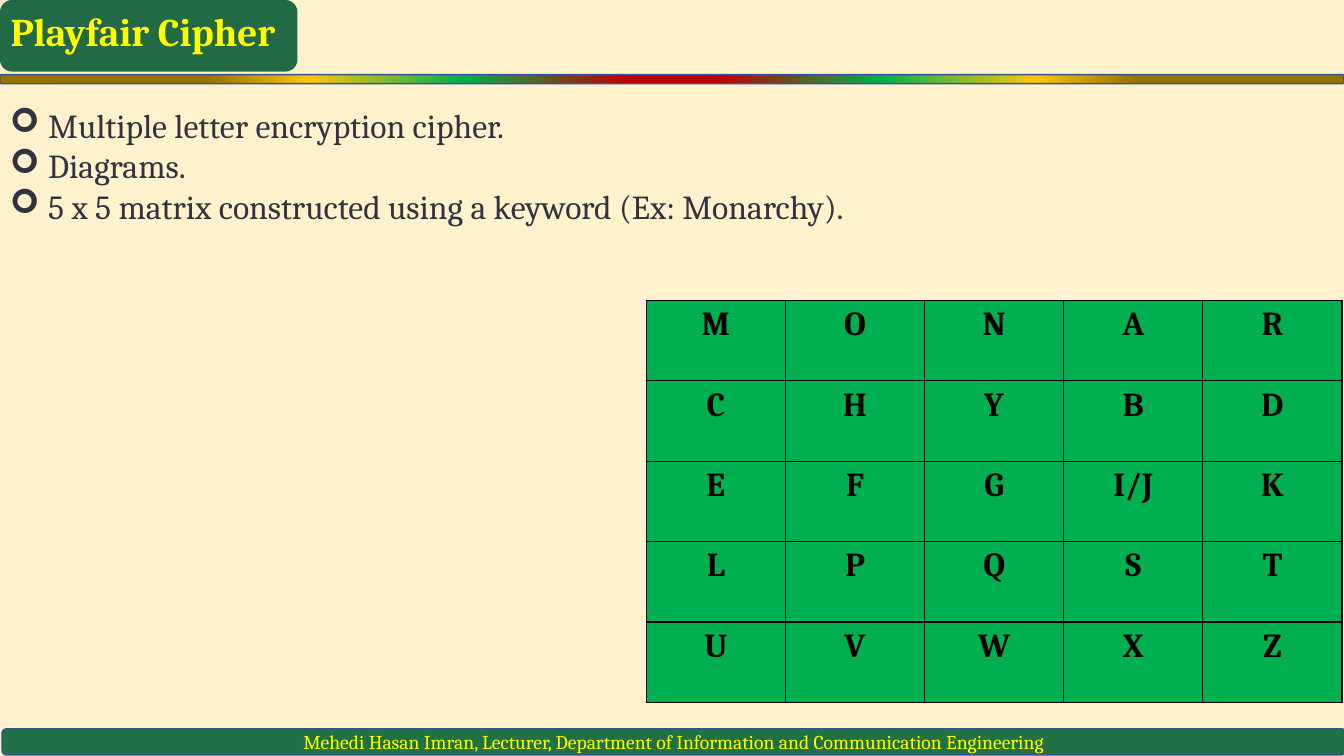
from lxml import etree
from pptx import Presentation
from pptx.dml.color import RGBColor
from pptx.enum import shapes, text
from pptx.oxml.ns import qn
from pptx.util import Inches, Pt

TITLE = "Playfair Cipher"
POINTS = [
    "Multiple letter encryption cipher.",
    "Diagrams.",
    "5 x 5 matrix constructed using a keyword (Ex: Monarchy).",
]
MATRIX = [
    ["M", "O", "N", "A", "R"],
    ["C", "H", "Y", "B", "D"],
    ["E", "F", "G", "I/J", "K"],
    ["L", "P", "Q", "S", "T"],
    ["U", "V", "W", "X", "Z"],
]
FOOTER = "Mehedi Hasan Imran, Lecturer, Department of Information and Communication Engineering"
COLORS = {
    "background": "FFF2CC", "title": "226A45", "footer": "207246",
    "outline": "325491", "yellow": "FFFF00", "body": "33333F",
    "cell": "00B050", "black": "000000",
}
RULE_BANDS = [(7, "C00000"), (31, "00B050"), (54, "FFC30D"), (69, "997300")]
FONT = "Cambria"
WIDTH, HEIGHT = 13.33, 7.5


def rgb(name):
    return RGBColor.from_string(COLORS[name])


def add_run(paragraph, words, size, color, bold=False):
    run = paragraph.add_run()
    run.text = words
    run.font.name = FONT
    run.font.size = Pt(size)
    run.font.bold = bold
    run.font.color.rgb = rgb(color)


def add_bar(slide, box, fill=None, outline=None):
    bar = slide.shapes.add_shape(
        shapes.MSO_SHAPE.ROUNDED_RECTANGLE, *map(Inches, box))
    bar.shadow.inherit = False
    if fill:
        bar.fill.solid()
        bar.fill.fore_color.rgb = rgb(fill)
    if outline:
        bar.line.color.rgb = rgb(outline)
        bar.line.width = Pt(1)
    else:
        bar.line.fill.background()
    return bar


def add_mirrored_gradient(bar, bands):
    bar.fill.gradient()
    bar.fill.gradient_angle = 0
    stops = next(bar._element.spPr.iter(qn("a:gsLst")))
    for stop in list(stops):
        stops.remove(stop)
    left = [(50 - reach / 2, color) for reach, color in reversed(bands)]
    right = [(50 + reach / 2, color) for reach, color in bands]
    for position, color in left + right:
        stop = etree.SubElement(stops, qn("a:gs"), pos=str(int(position * 1000)))
        etree.SubElement(stop, qn("a:srgbClr"), val=color)


def add_bullet(paragraph, indent):
    properties = paragraph._p.get_or_add_pPr()
    properties.set("marL", str(Inches(indent)))
    properties.set("indent", str(-Inches(indent)))
    etree.SubElement(properties, qn("a:buFont"), typeface="Wingdings")
    etree.SubElement(properties, qn("a:buChar"), char="➢")


def add_borders(cell):
    properties = cell._tc.get_or_add_tcPr()
    for index, side in enumerate(("lnL", "lnR", "lnT", "lnB")):
        border = etree.Element(qn("a:" + side), w=str(Pt(1)))
        fill = etree.SubElement(border, qn("a:solidFill"))
        etree.SubElement(fill, qn("a:srgbClr"), val=COLORS["black"])
        properties.insert(index, border)


def add_matrix(slide, left, top, width, height):
    rows, columns = len(MATRIX), len(MATRIX[0])
    matrix = slide.shapes.add_table(
        rows, columns, *map(Inches, (left, top, width, height))).table
    for column in matrix.columns:
        column.width = Inches(width / columns)
    for row, letters in zip(matrix.rows, MATRIX):
        row.height = Inches(height / rows)
        for cell, letter in zip(row.cells, letters):
            cell.fill.solid()
            cell.fill.fore_color.rgb = rgb("cell")
            add_borders(cell)
            paragraph = cell.text_frame.paragraphs[0]
            paragraph.alignment = text.PP_ALIGN.CENTER
            add_run(paragraph, letter, 24, "black", True)


def main():
    deck = Presentation()
    deck.slide_width, deck.slide_height = Inches(WIDTH), Inches(HEIGHT)
    slide = deck.slides.add_slide(deck.slide_layouts[6])
    slide.background.fill.solid()
    slide.background.fill.fore_color.rgb = rgb("background")

    rule = add_bar(slide, (0, 0.74, WIDTH, 0.09), outline="outline")
    add_mirrored_gradient(rule, RULE_BANDS)

    footer = add_bar(slide, (0.02, 7.23, WIDTH, 0.26), "footer", "outline")
    footer.text_frame.vertical_anchor = text.MSO_ANCHOR.MIDDLE
    credit = footer.text_frame.paragraphs[0]
    credit.alignment = text.PP_ALIGN.CENTER
    add_run(credit, FOOTER, 14, "yellow")

    title = add_bar(slide, (0, 0, 2.95, 0.71), "title")
    frame = title.text_frame
    frame.vertical_anchor = text.MSO_ANCHOR.TOP
    frame.margin_left = frame.margin_right = Inches(0.07)
    frame.margin_top = frame.margin_bottom = Inches(0.04)
    frame.paragraphs[0].alignment = text.PP_ALIGN.LEFT
    add_run(frame.paragraphs[0], TITLE, 28, "yellow", True)

    points = slide.shapes.add_textbox(
        *map(Inches, (0, 0.99, WIDTH, 1.31))).text_frame
    points.word_wrap = True
    for index, point in enumerate(POINTS):
        paragraph = points.add_paragraph() if index else points.paragraphs[0]
        add_bullet(paragraph, 0.38)
        add_run(paragraph, point, 24, "body")

    add_matrix(slide, 6.41, 2.98, 6.9, 3.99)
    deck.save("out.pptx")


if __name__ == "__main__":
    main()
